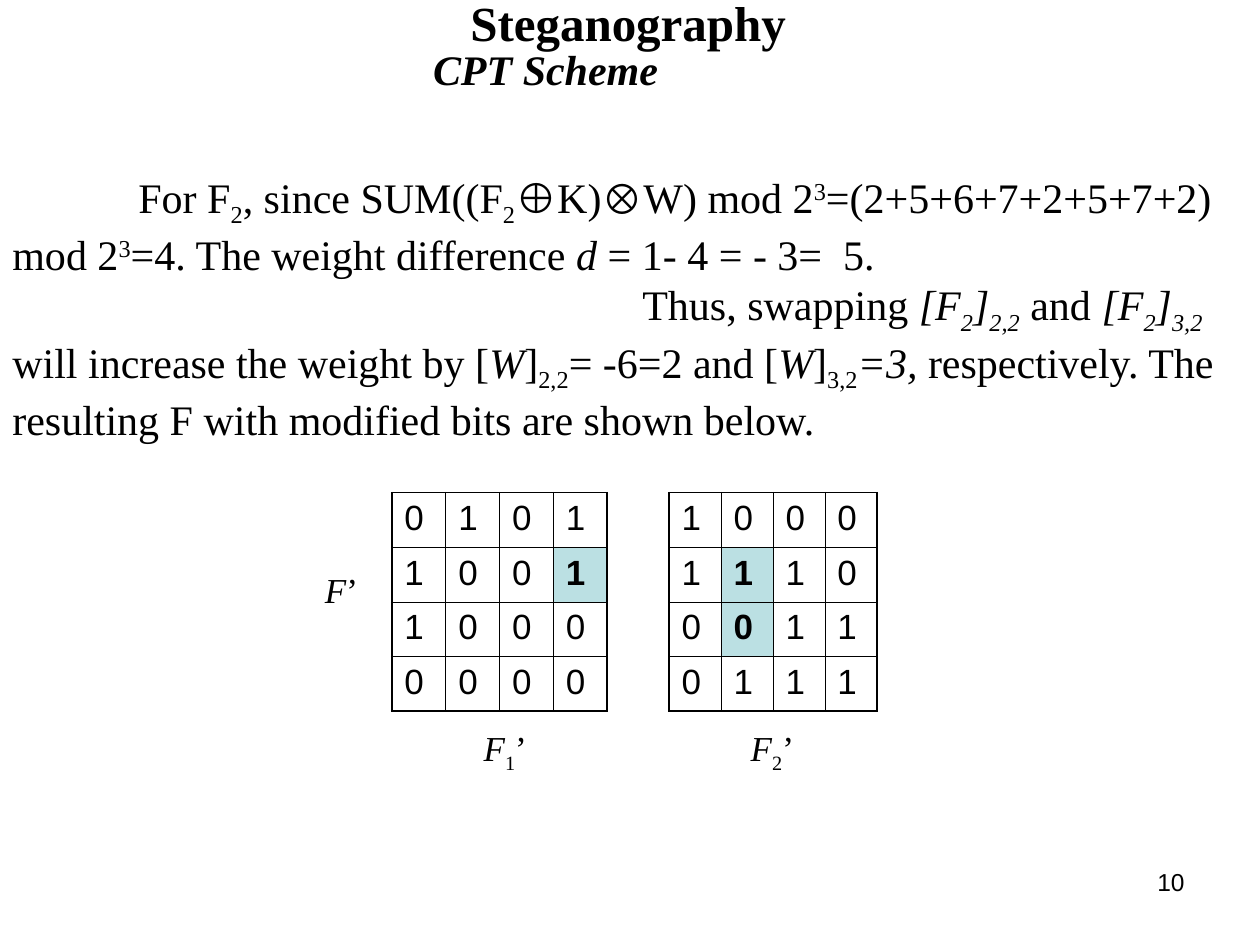
from dataclasses import dataclass

from lxml import etree
from pptx import Presentation
from pptx.dml.color import RGBColor
from pptx.enum.text import MSO_ANCHOR, MSO_AUTO_SIZE, PP_ALIGN
from pptx.oxml.ns import qn
from pptx.util import Inches, Pt

CENTER, RIGHT, LEFT = PP_ALIGN.CENTER, PP_ALIGN.RIGHT, PP_ALIGN.LEFT
TOP = MSO_ANCHOR.TOP
NO_FIT = MSO_AUTO_SIZE.NONE
TITLE_ONLY = 5


@dataclass(frozen=True)
class Theme:
    ink: RGBColor = RGBColor(0x00, 0x00, 0x00)
    changed: RGBColor = RGBColor(0xBB, 0xE0, 0xE3)
    serif: str = "Times New Roman"
    sans: str = "Arial"
    title: Pt = Pt(28)
    body: Pt = Pt(24)
    label: Pt = Pt(20)
    number: Pt = Pt(14)
    outer: Pt = Pt(1.08)
    inner: Pt = Pt(0.45)


THEME = Theme()
SUB, SUP = -25000, 30000

WEIGHT = [
    ("For F",), ("2", SUB), (", since SUM((F",), ("2", SUB), ("⊕", "sans"), ("K)",),
    ("⊗", "sans"), ("W) mod 2",), ("3", SUP), ("=(2+5+6+7+2+5+7+2) mod 2",), ("3", SUP),
    ("=4. The weight difference ",), ("d ", "i"), ("= 1- 4 = - 3=  5.",),
]
SWAP = [
    ("Thus, swapping ",), ("[F", "i"), ("2", "i", SUB), ("]", "i"), ("2,2", "i", SUB),
    (" and ",), ("[F", "i"), ("2", "i", SUB), ("]", "i"), ("3,2", "i", SUB),
    (" will increase the weight by [",), ("W", "i"), ("]",), ("2,2", SUB),
    ("= -6=2 and [",), ("W", "i"), ("]",), ("3,2", SUB), ("=3, ", "i"),
    ("respectively. The resulting F with modified bits are shown below.",),
]
F1_BITS = ["0101", "1001", "1000", "0000"]
F2_BITS = ["1000", "1110", "0011", "0111"]


def format_paragraph(p, size, font=THEME.serif, align=LEFT):
    p.alignment = align
    p.font.size = size
    p.font.name = font
    p.font.color.rgb = THEME.ink


def add_runs(p, runs):
    for text, *marks in runs:
        r = p.add_run()
        r.text = text
        for mark in marks:
            if mark == "i":
                r.font.italic = True
            elif mark == "sans":
                r.font.name = THEME.sans
            else:
                r.font._element.set("baseline", str(mark))


def add_text(slide, box, runs, size, font=THEME.serif, align=LEFT):
    tf = slide.shapes.add_textbox(*map(Inches, box)).text_frame
    tf.word_wrap = True
    p = tf.paragraphs[0]
    add_runs(p, runs)
    format_paragraph(p, size, font, align)
    return tf


def add_title(slide, box):
    sp = slide.shapes.title
    sp.left, sp.top, sp.width, sp.height = map(Inches, box)
    tf = sp.text_frame
    tf.vertical_anchor = TOP
    tf.auto_size = NO_FIT
    heading, scheme = tf.paragraphs[0], tf.add_paragraph()
    heading.text = "Steganography"
    scheme.text = "CPT Scheme"
    scheme._p.get_or_add_pPr().set("marR", str(Inches(1.31)))
    for p, size, spacing in ((heading, THEME.title, 0.75), (scheme, THEME.body, 0.88)):
        format_paragraph(p, size, align=CENTER)
        p.font.bold = True
        p.line_spacing = spacing
        p.space_before = Pt(0)
    scheme.font.italic = True


def add_body(slide, box):
    tf = add_text(slide, box, WEIGHT, THEME.body)
    p = tf.add_paragraph()
    add_runs(p, SWAP)
    format_paragraph(p, THEME.body)
    for p, indent in zip(tf.paragraphs, (1, 5)):
        p._p.get_or_add_pPr().set("indent", str(Inches(indent)))


def set_borders(cell, outer_sides):
    tcPr = cell._tc.get_or_add_tcPr()
    for i, side in enumerate("LRTB"):
        width = THEME.outer if side in outer_sides else THEME.inner
        ln = etree.Element(qn(f"a:ln{side}"), w=str(width))
        fill = etree.SubElement(ln, qn("a:solidFill"))
        etree.SubElement(fill, qn("a:srgbClr"), val=str(THEME.ink))
        tcPr.insert(i, ln)


def add_bit_matrix(slide, box, bits, changed):
    n = len(bits)
    x, y, w, h = map(Inches, box)
    table = slide.shapes.add_table(n, n, x, y, w, h).table
    table.first_row = table.horz_banding = False
    for i, row in enumerate(bits):
        for j, bit in enumerate(row):
            cell = table.cell(i, j)
            p = cell.text_frame.paragraphs[0]
            p.text = bit
            format_paragraph(p, THEME.label, THEME.sans)
            if (i, j) in changed:
                p.font.bold = True
                cell.fill.solid()
                cell.fill.fore_color.rgb = THEME.changed
            else:
                cell.fill.background()
            edges = {"L": j == 0, "R": j == n - 1, "T": i == 0, "B": i == n - 1}
            set_borders(cell, [side for side, outer in edges.items() if outer])


def add_label(slide, box, *index):
    runs = [("F", "i"), *((digit, SUB) for digit in index), ("’",)]
    add_text(slide, box, runs, THEME.label)


def main():
    prs = Presentation()
    prs.slide_width, prs.slide_height = Inches(10), Inches(7.5)
    slide = prs.slides.add_slide(prs.slide_layouts[TITLE_ONLY])

    add_title(slide, (2.32, 0, 5.33, 0.8))
    add_body(slide, (0, 1.31, 10, 2.27))
    add_bit_matrix(slide, (3.11, 3.91, 1.71, 1.73), F1_BITS, {(1, 3)})
    add_bit_matrix(slide, (5.31, 3.91, 1.65, 1.73), F2_BITS, {(1, 1), (2, 1)})
    add_label(slide, (2.48, 4.46, 0.63, 0.44))
    add_label(slide, (3.74, 5.72, 0.63, 0.48), "1")
    add_label(slide, (5.86, 5.72, 0.63, 0.48), "2")
    add_text(slide, (7.17, 6.83, 2.33, 0.52), [("10",)], THEME.number, THEME.sans, RIGHT)
    prs.save("out.pptx")


if __name__ == "__main__":
    main()
